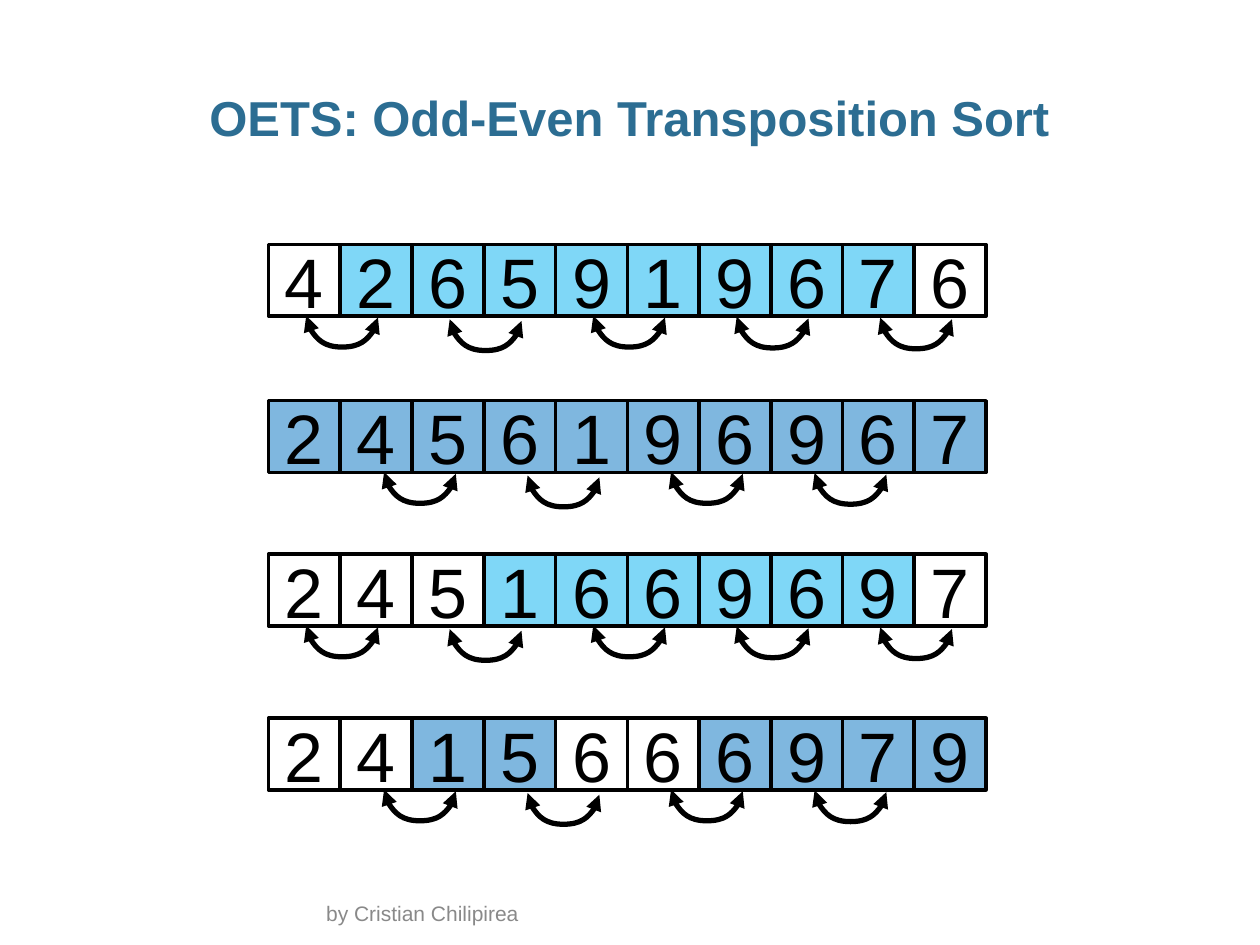
from lxml.etree import SubElement
from pptx import Presentation
from pptx.dml.color import RGBColor
from pptx.enum.shapes import MSO_CONNECTOR, MSO_SHAPE
from pptx.enum.text import MSO_ANCHOR, PP_ALIGN
from pptx.oxml.ns import qn
from pptx.util import Pt

BLACK = RGBColor(0x00, 0x00, 0x00)
GRAY = RGBColor(0x89, 0x89, 0x89)
TITLE_BLUE = RGBColor(0x2C, 0x6D, 0x92)
LIGHT_BLUE = RGBColor(0x00, 0xB0, 0xF0)
DARK_BLUE = RGBColor(0x00, 0x70, 0xC0)

CELL = 41
ROW_LEFT = 153.5
ARC_STEP = 2 * CELL
ARC_GAP = 40.75
ARC_DROPS = [0, 2, 0, 0.5, 1]
ODD_START, EVEN_START = 175, 219.5

ROWS = [
    (139.7, "4265919676", range(1, 9), LIGHT_BLUE, ODD_START, 5),
    (229, "2456196967", range(10), DARK_BLUE, EVEN_START, 4),
    (316.7, "2451669697", range(3, 9), LIGHT_BLUE, ODD_START, 5),
    (410.4, "2415666979", (2, 3, 6, 7, 8, 9), DARK_BLUE, EVEN_START, 4),
]


def write_text(shape, text, size, color, anchor, alignment):
    frame = shape.text_frame
    frame.word_wrap = True
    frame.vertical_anchor = anchor
    paragraph = frame.paragraphs[0]
    paragraph.text = text
    paragraph.alignment = alignment
    paragraph.font.name = "Arial"
    paragraph.font.size = Pt(size)
    paragraph.font.color.rgb = color
    return frame


def add_swap_arc(shapes, left, top):
    x, y = left + CELL / 2 - 0.5, top + 0.5 - CELL / 2
    arc = shapes.add_connector(MSO_CONNECTOR.CURVE, Pt(x + 1), Pt(y), Pt(x), Pt(y + CELL))
    arc.line.color.rgb = BLACK
    arc.line.width = Pt(3)
    properties = arc._element.spPr
    properties.find(qn("a:xfrm")).set("rot", "16200000")
    adjustments = properties.find(qn("a:prstGeom")).find(qn("a:avLst"))
    SubElement(adjustments, qn("a:gd"), name="adj1", fmla="val 1800000")
    line = properties.find(qn("a:ln"))
    for end in ("a:headEnd", "a:tailEnd"):
        SubElement(line, qn(end), type="triangle")
    SubElement(properties, qn("a:effectLst"))


presentation = Presentation()
presentation.slide_width = Pt(720)
presentation.slide_height = Pt(540)
slide = presentation.slides.add_slide(presentation.slide_layouts[6])
shapes = slide.shapes

footer = shapes.add_textbox(Pt(179.3), Pt(515.5), Pt(361.4), Pt(17.3))
write_text(footer, "by Cristian Chilipirea", 12, GRAY, MSO_ANCHOR.BOTTOM, PP_ALIGN.LEFT)

title = shapes.add_textbox(Pt(24.5), Pt(49), Pt(670.3), Pt(36))
title_frame = write_text(title, "OETS: Odd-Even Transposition Sort", 28, TITLE_BLUE,
                         MSO_ANCHOR.TOP, PP_ALIGN.CENTER)
title_frame.margin_left = title_frame.margin_right = Pt(0)
title_frame.paragraphs[0].line_spacing = 0.95
title_frame.paragraphs[0].font.bold = True

for top, digits, colored, color, arc_start, arc_count in ROWS:
    for column, digit in enumerate(digits):
        cell = shapes.add_shape(MSO_SHAPE.RECTANGLE, Pt(ROW_LEFT + column * CELL), Pt(top),
                                Pt(CELL), Pt(CELL))
        cell.shadow.inherit = False
        cell.line.color.rgb = BLACK
        cell.line.width = Pt(2)
        if column in colored:
            cell.fill.solid()
            cell.fill.fore_color.rgb = color
            fill_color = cell._element.spPr.find(qn("a:solidFill")).find(qn("a:srgbClr"))
            SubElement(fill_color, qn("a:alpha"), val="50000")
        else:
            cell.fill.background()
        write_text(cell, digit, 40, BLACK, MSO_ANCHOR.MIDDLE, PP_ALIGN.CENTER)
    for index, drop in enumerate(ARC_DROPS[:arc_count]):
        add_swap_arc(shapes, arc_start + index * ARC_STEP, top + ARC_GAP + drop)

presentation.save("out.pptx")
